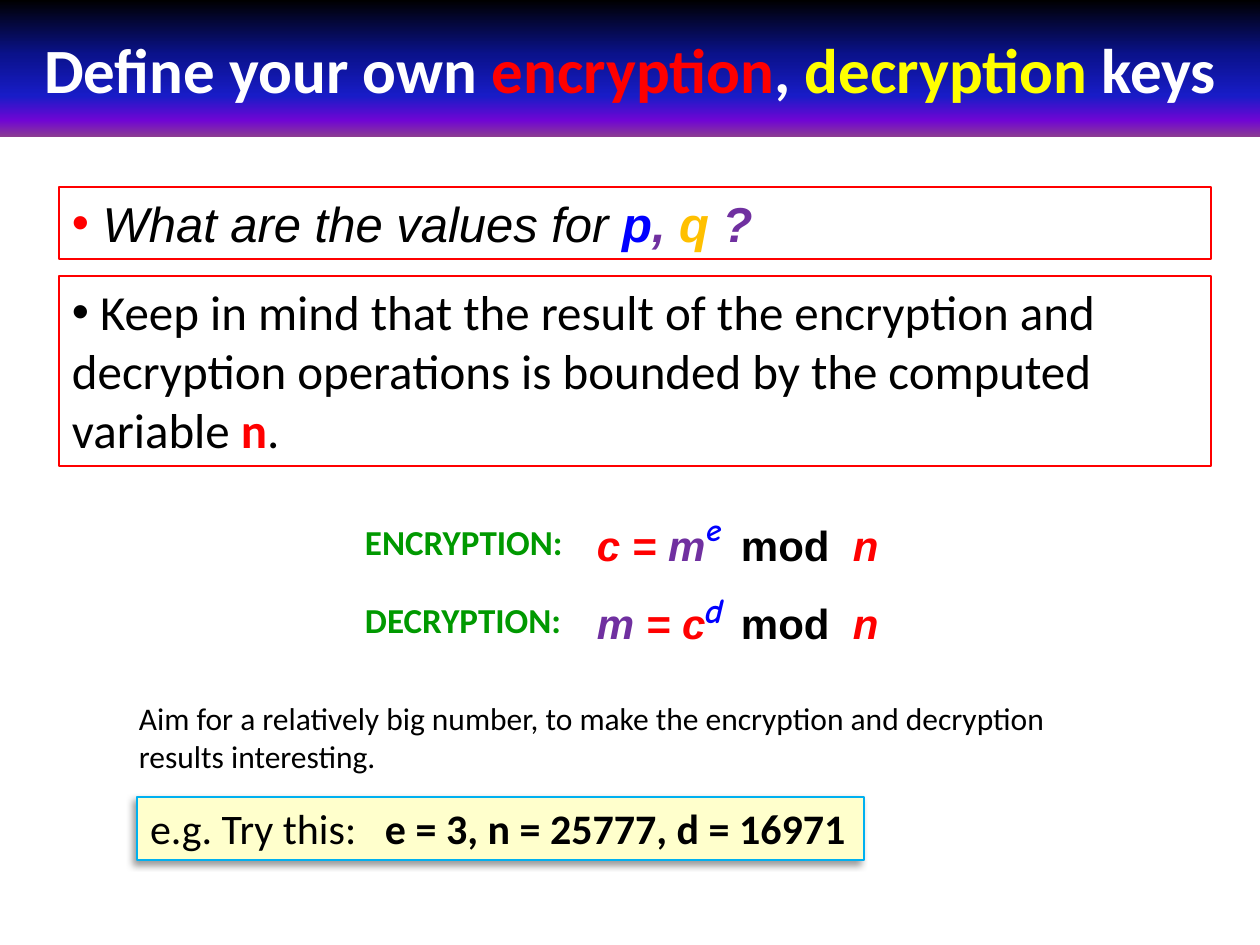
from lxml import etree
from pptx import Presentation
from pptx.dml.color import RGBColor
from pptx.enum.shapes import MSO_SHAPE
from pptx.enum.text import MSO_ANCHOR, MSO_AUTO_SIZE, PP_ALIGN
from pptx.oxml.ns import qn
from pptx.util import Pt

PX = 914400 / 126
RECT, ROUND = MSO_SHAPE.RECTANGLE, MSO_SHAPE.ROUNDED_RECTANGLE
LEFT, MID = PP_ALIGN.LEFT, PP_ALIGN.CENTER
TOP, CENTER = MSO_ANCHOR.TOP, MSO_ANCHOR.MIDDLE
GROW = MSO_AUTO_SIZE.SHAPE_TO_FIT_TEXT
RED, BLUE, PURPLE = "FF0000", "0000FF", "7030A0"
BLACK, WHITE, GREEN = "000000", "FFFFFF", "009900"
STOPS = [(0, BLACK), (40, "0A128C"), (70, "181CC7"), (88, "7005D4"), (100, "8C3D91")]
BOLD, ITALIC = {"bold": True}, {"italic": True}
BOTH = BOLD | ITALIC


def emu(px):
    """Turn px into EMU."""
    return round(px * PX)


def rgb(code):
    """Turn a hex string into a colour."""
    return RGBColor.from_string(code)


def node(root, tag, **attrs):
    """Add a drawing element with its attributes."""
    item = etree.SubElement(root, qn("a:" + tag))
    for key, val in attrs.items():
        item.set(key, str(val))
    return item


def write(shape, runs, size, font="Calibri", align=LEFT, anchor=TOP,
          wrap=True, inset=13, bullet=None, tabs=()):
    """Fill one paragraph with runs of text, colour and format."""
    frame = shape.text_frame
    values = {"word_wrap": wrap, "vertical_anchor": anchor,
              "margin_left": emu(inset), "margin_right": 0 if tabs else emu(13),
              "margin_top": emu(6), "margin_bottom": emu(6)}
    for key, val in values.items():
        setattr(frame, key, val)
    para = frame.paragraphs[0]
    para.alignment = align
    props = para._p.get_or_add_pPr()
    if bullet:
        props.set("marL", "0")
        props.set("indent", "0")
        node(node(props, "buClr"), "srgbClr", val=bullet)
        node(props, "buFont", typeface="Arial")
        node(props, "buChar", char="•")
    if tabs:
        stops = node(props, "tabLst")
        for pos in tabs:
            node(stops, "tab", pos=emu(pos), algn="l")
    for text, color, style in runs:
        run = para.add_run()
        run.text = text
        run.font.color.rgb = rgb(color)
        form = {"name": font, "size": Pt(size), "bold": False, "italic": False}
        for key, val in (form | style).items():
            setattr(run.font, key, val)


def panel(slide, box, runs, size, kind=RECT, fill=None, line=None, **opts):
    """Draw a shape that holds text."""
    shape = slide.shapes.add_shape(kind, *map(emu, box))
    shape.shadow.inherit = False
    if kind == ROUND:
        shape.adjustments[0] = 0.005
    if fill:
        shape.fill.solid()
        shape.fill.fore_color.rgb = rgb(fill)
    else:
        shape.fill.background()
    if line:
        shape.line.color.rgb = rgb(line)
        shape.line.width = Pt(0.75)
    else:
        shape.line.fill.background()
    write(shape, runs, size, **opts)
    return shape


def label(slide, box, runs, size, **opts):
    """Place a plain text box."""
    shape = slide.shapes.add_textbox(*map(emu, box))
    write(shape, runs, size, **opts)
    shape.text_frame.auto_size = GROW


def banner(slide, box):
    """Format the title as a gradient band."""
    title = slide.shapes.title
    title.left, title.top, title.width, title.height = map(emu, box)
    grad = node(title._element.spPr, "gradFill", rotWithShape=1)
    stops = node(grad, "gsLst")
    for pos, color in STOPS:
        node(node(stops, "gs", pos=pos * 1000), "srgbClr", val=color)
    node(grad, "lin", ang=90 * 60000, scaled=0)
    runs = [("Define your own ", WHITE, BOLD), ("encryption", RED, BOLD),
            (", ", WHITE, BOLD), ("decryption", "FFFF00", BOLD),
            (" keys", WHITE, BOLD)]
    write(title, runs, 36, align=MID, anchor=CENTER)


def points(slide, box):
    """Stack the two framed bullet points."""
    x, y, w, _ = box
    ask = [(" What are the values for ", BLACK, ITALIC), ("p", BLUE, BOTH),
           (", ", PURPLE, BOTH), ("q", "FFC000", BOTH), (" ?", PURPLE, BOTH)]
    panel(slide, (x, y, w, 72), ask, 28, line=RED, font="Arial", bullet=RED)
    keep = [(" Keep in mind that the result of the encryption and decryption "
             "operations is bounded by the computed variable ", BLACK, {}),
            ("n", RED, BOLD), (".", BLACK, {})]
    panel(slide, (x, y + 89, w, 190), keep, 28, line=RED, bullet=BLACK)


def formula(slide, box, name, sides, power, size):
    """Set a named formula with its raised power."""
    x, y, w, h = box
    label(slide, (x, y, 224, 55), [(name, GREEN, BOLD)], 20, wrap=False)
    runs = [(text, color, BOTH) for text, color in sides]
    runs += [("\tmod", BLACK, BOLD), ("\tn", RED, BOTH)]
    label(slide, (x + 227, y, w - 227, h), runs, 24, font="Arial",
          inset=18, tabs=(144, 256))
    panel(slide, (x + 340, y - 10, 44, 54), [(power, BLUE, BOTH)], size,
          kind=ROUND, font="Comic Neue", align=MID, wrap=False)


def advice(slide, box):
    """Place the hint above its shadowed example."""
    x, y, w, h = box
    hint = ("Aim for a relatively big number, to make the encryption and "
            "decryption results interesting.")
    label(slide, (x, y, w, h), [(hint, BLACK, {})], 18)
    runs = [("e.g. Try this:", BLACK, {}),
            ("\te = 3, n = 25777, d = 16971", BLACK, BOLD)]
    card = panel(slide, (x + 11, y + 104, 727, 63), runs, 24, fill="FFFFCC",
                 line="00B0F0", tabs=(235,))
    glow = node(card._element.spPr.find(qn("a:effectLst")), "outerShdw",
                blurRad=Pt(4), dist=Pt(3), dir=135 * 60000, algn="tr",
                rotWithShape=0)
    node(node(glow, "srgbClr", val=BLACK), "alpha", val=40000)


def main():
    """Build and save the slide."""
    deck = Presentation()
    deck.slide_width, deck.slide_height = emu(1260), emu(945)
    slide = deck.slides.add_slide(deck.slide_layouts[5])
    banner(slide, (0, 0, 1260, 137))
    points(slide, (59, 187, 1152, 279))
    rows = [("ENCRYPTION:", [("c = ", RED), ("m", PURPLE)], "e", 18),
            ("DECRYPTION:", [("m ", PURPLE), ("= c", RED)], "d", 20)]
    for i, row in enumerate(rows):
        formula(slide, (352, 514 + 78 * i, 544, 64), *row)
    advice(slide, (126, 693, 985, 89))
    deck.save("out.pptx")


if __name__ == "__main__":
    main()
